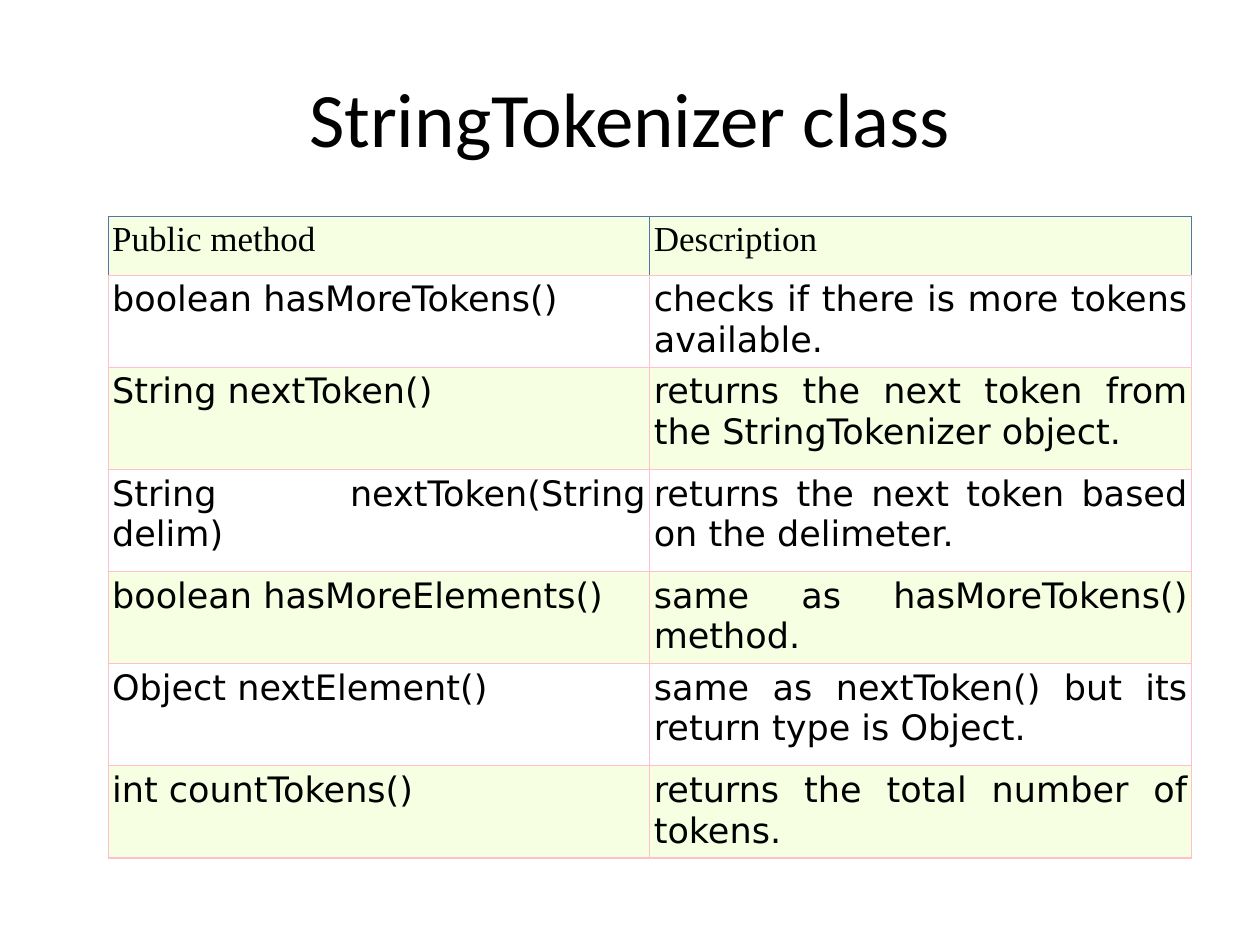
from dataclasses import dataclass

import lxml.etree
import pptx
import pptx.dml.color
import pptx.enum.text
import pptx.oxml.ns
import pptx.util

Cm = pptx.util.Cm
Align = pptx.enum.text.PP_ALIGN
Anchor = pptx.enum.text.MSO_ANCHOR

COLORS = {
    "text": "000000",
    "tint": "F6FFE1",
    "plain": "FFFFFF",
    "header_line": "5076A4",
    "body_line": "FFC0CB",
}
LINE_WIDTH = pptx.util.Pt(0.75)
CELL_INSET = Cm(0.08)


@dataclass
class MethodRow:
    method: str
    description: str
    height: float  # centimetres
    header: bool = False


ROWS = [
    MethodRow("Public method", "Description", 1.19, header=True),
    MethodRow("boolean hasMoreTokens()", "checks if there is more tokens available.", 1.81),
    MethodRow("String nextToken()", "returns the next token from the StringTokenizer object.", 2.06),
    MethodRow("String nextToken(String delim)", "returns the next token based on the delimeter.", 2.06),
    MethodRow("boolean hasMoreElements()", "same as hasMoreTokens() method.", 1.81),
    MethodRow("Object nextElement()", "same as nextToken() but its return type is Object.", 2.06),
    MethodRow("int countTokens()", "returns the total number of tokens.", 1.81),
]


def rgb(name: str) -> pptx.dml.color.RGBColor:
    return pptx.dml.color.RGBColor.from_string(COLORS[name])


def write(frame, text: str, font: str, size: int, align) -> None:
    para = frame.paragraphs[0]
    para.alignment = align
    run = para.add_run()
    run.text = text
    run.font.name = font
    run.font.size = pptx.util.Pt(size)
    run.font.color.rgb = rgb("text")


def add_border(cell, side: str, color: str) -> None:
    qn = pptx.oxml.ns.qn
    properties = cell._tc.get_or_add_tcPr()
    line = lxml.etree.SubElement(properties, qn(f"a:ln{side}"), w=str(LINE_WIDTH))
    fill = lxml.etree.SubElement(line, qn("a:solidFill"))
    lxml.etree.SubElement(fill, qn("a:srgbClr"), val=COLORS[color])


def fill_cell(cell, text: str, header: bool, background: str) -> None:
    # Borders come before the fill in the cell properties
    for side in "LRTB":
        is_header_line = header and side != "B"
        add_border(cell, side, "header_line" if is_header_line else "body_line")
    cell.fill.solid()
    cell.fill.fore_color.rgb = rgb(background)
    cell.margin_left = cell.margin_right = CELL_INSET
    cell.margin_top = cell.margin_bottom = CELL_INSET
    cell.vertical_anchor = Anchor.TOP
    font = "Times New Roman" if header else "DejaVu Sans"
    write(cell.text_frame, text, font, 20, Align.LEFT if header else Align.JUSTIFY)


def add_title(page, text: str) -> None:
    box = page.shapes.add_textbox(Cm(1.27), Cm(0.76), Cm(22.86), Cm(3.18))
    box.text_frame.word_wrap = True
    box.text_frame.vertical_anchor = Anchor.MIDDLE
    write(box.text_frame, text, "Calibri", 44, Align.CENTER)


def add_method_table(page, rows: list[MethodRow]) -> None:
    height = Cm(sum(row.height for row in rows))
    frame = page.shapes.add_table(len(rows), 2, Cm(2.18), Cm(4.36), Cm(21.84), height)
    table = frame.table
    table.first_row = table.horz_banding = False
    for index, row in enumerate(rows):
        table.rows[index].height = Cm(row.height)
        background = "plain" if index % 2 else "tint"
        for column, text in enumerate((row.method, row.description)):
            fill_cell(table.cell(index, column), text, row.header, background)


def main() -> None:
    deck = pptx.Presentation()
    deck.slide_width, deck.slide_height = Cm(25.4), Cm(19.05)
    page = deck.slides.add_slide(deck.slide_layouts[6])
    add_title(page, "StringTokenizer class")
    add_method_table(page, ROWS)
    deck.save("out.pptx")


if __name__ == "__main__":
    main()
